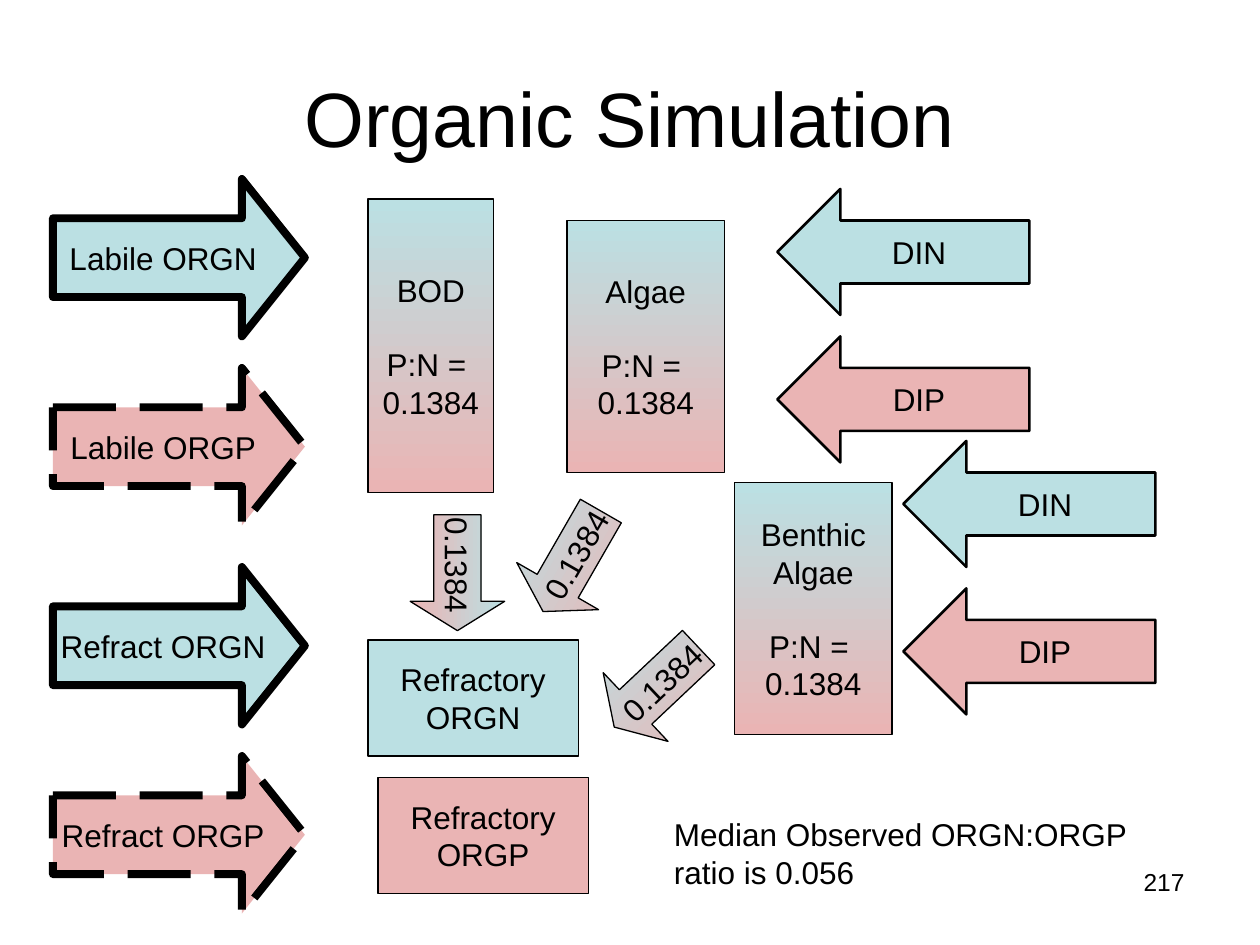
"""Build the Organic Simulation slide."""
from pptx import Presentation
from pptx.dml.color import RGBColor
from pptx.enum.dml import MSO_LINE
from pptx.enum.shapes import MSO_SHAPE
from pptx.enum.text import MSO_ANCHOR, PP_ALIGN
from pptx.util import Inches, Pt

BLUE, PINK, BLACK = "BBE0E3", "EAB4B4", "000000"
BLEND = (BLUE, PINK)
RATIO = "0.1384"
TITLE = "Organic Simulation"
NOTE = "Median Observed ORGN:ORGP ratio is 0.056"
PAGE = "217"
LOADS = [("Labile", 1.42), ("Refract", 4.5)]
INTAKES = [(6.17, 1.5), (7.17, 3.5)]
POOLS = [
    (["BOD"], (2.92, 1.58, 1, 2.33)),
    (["Algae"], (4.5, 1.75, 1.25, 2)),
    (["Benthic", "Algae"], (5.83, 3.83, 1.25, 2)),
]
STORES = [("ORGN", BLUE, (2.92, 5.08)), ("ORGP", PINK, (3, 6.17))]
FLOWS = [
    ((3.17, 4.17), 90, False),
    ((4.75, 5.08), 316.7, True),
    ((4.08, 4.08), 299.9, True),
]


def color(code):
    return RGBColor.from_string(code)


def write(frame, lines, size=18, align=PP_ALIGN.CENTER, gap=None):
    for i, line in enumerate(lines):
        para = frame.paragraphs[0] if i == 0 else frame.add_paragraph()
        para.alignment = align
        if i == gap:
            para.space_before = Pt(20.7)
        run = para.add_run()
        run.text = line
        run.font.size = Pt(size)
        run.font.name = "Arial"
        run.font.color.rgb = color(BLACK)


def block(slide, kind, box, fill, lines, width=0.75, gap=None):
    shape = slide.shapes.add_shape(kind, *map(Inches, box))
    shape.shadow.inherit = False
    if fill == BLEND:
        shape.fill.gradient()
        shape.fill.gradient_angle = 270
        for stop, code in zip(shape.fill.gradient_stops, fill):
            stop.color.rgb = color(code)
    else:
        shape.fill.solid()
        shape.fill.fore_color.rgb = color(fill)
    shape.line.color.rgb = color(BLACK)
    shape.line.width = Pt(width)
    frame = shape.text_frame
    frame.word_wrap = False
    frame.vertical_anchor = MSO_ANCHOR.MIDDLE
    write(frame, lines, gap=gap)
    return shape


def arrow(slide, box, fill, text, width, head, flip=False):
    shape = block(slide, MSO_SHAPE.RIGHT_ARROW, box, fill, [text], width)
    shape.adjustments[0] = 0.5
    shape.adjustments[1] = head
    if flip:
        shape._element.spPr.xfrm.set("flipH", "1")
    return shape


def label(slide, box, text, size, align):
    frame = slide.shapes.add_textbox(*map(Inches, box)).text_frame
    frame.word_wrap = True
    write(frame, [text], size, align)


def main():
    deck = Presentation()
    deck.slide_width, deck.slide_height = Inches(10), Inches(7.5)
    slide = deck.slides.add_slide(deck.slide_layouts[5])
    title = slide.shapes.title
    title.left, title.top, title.width, title.height = map(
        Inches, (0.5, 0.3, 9, 1.25))
    title.text_frame.vertical_anchor = MSO_ANCHOR.MIDDLE
    write(title.text_frame, [TITLE], 44)

    for name, top in LOADS:
        for i, (part, fill) in enumerate(zip(("ORGN", "ORGP"), BLEND)):
            box = (0.42, top + 1.5 * i, 2, 1.25)
            shape = arrow(slide, box, fill, f"{name} {part}", 4.5, 0.4)
            if fill == PINK:
                shape.line.dash_style = MSO_LINE.LONG_DASH
    for names, box in POOLS:
        block(slide, MSO_SHAPE.RECTANGLE, box, BLEND,
              names + ["P:N = ", RATIO], gap=len(names))
    for name, fill, spot in STORES:
        block(slide, MSO_SHAPE.RECTANGLE, (*spot, 1.67, 0.92), fill,
              ["Refractory", name])
    for left, top in INTAKES:
        for i, (name, fill) in enumerate(zip(("DIN", "DIP"), BLEND)):
            arrow(slide, (left, top + 1.17 * i, 2, 1), fill, name,
                  1.5, 0.5, True)
    for spot, angle, flip in FLOWS:
        shape = arrow(slide, (*spot, 0.92, 0.75), BLEND, RATIO,
                      0.75, 0.31, flip)
        shape.rotation = angle

    label(slide, (5.25, 6.42, 4, 0.7), NOTE, 18, PP_ALIGN.LEFT)
    label(slide, (7.17, 6.83, 2.33, 0.52), PAGE, 14, PP_ALIGN.RIGHT)
    deck.save("out.pptx")


if __name__ == "__main__":
    main()
